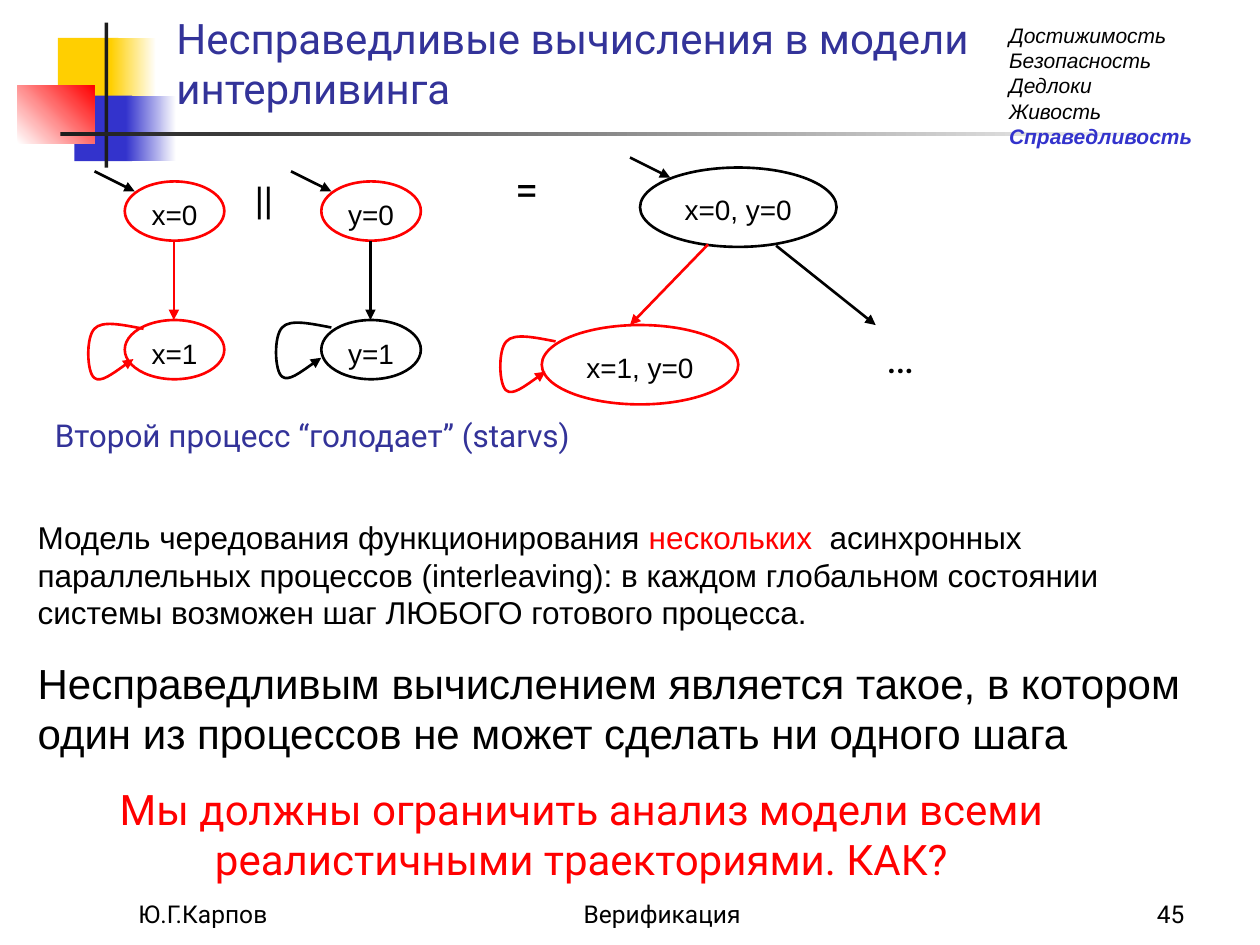
from lxml.etree import SubElement
from pptx import Presentation
from pptx.dml.color import RGBColor
from pptx.enum.shapes import MSO_CONNECTOR, MSO_SHAPE
from pptx.enum.text import MSO_ANCHOR as ANCHOR, MSO_AUTO_SIZE as AUTO, PP_ALIGN as ALIGN
from pptx.oxml.ns import qn
from pptx.util import Inches, Pt

BLACK, RED, BLUE, NAVY = "000000", "FF0000", "3333CC", "333399"
WHITE, YELLOW, DARK = "FFFFFF", "FFCF01", "1C1C1C"

# A self-loop: start point, then three Bezier segments, relative to its corner
LOOP = [(0.46, 0.07),
        (0.30, 0.04), (0.13, 0), (0.07, 0.07),
        (0, 0.14), (0.01, 0.42), (0.07, 0.46),
        (0.12, 0.50), (0.25, 0.40), (0.38, 0.31)]


def rgb(hex_color):
    return RGBColor.from_string(hex_color)


def add_run(p, text, size, color=BLACK, font="Arial", **formats):
    r = p.add_run()
    r.text = text
    r.font.color.rgb = rgb(color)
    for name, value in dict(size=Pt(size), name=font, **formats).items():
        setattr(r.font, name, value)


def add_text(slide, box, paragraphs, align=ALIGN.LEFT, anchor=ANCHOR.TOP, auto=AUTO.SHAPE_TO_FIT_TEXT):
    """Each paragraph is (space before, runs); a run is a dict for add_run, None a line break."""
    tf = slide.shapes.add_textbox(*map(Inches, box)).text_frame
    for name, value in dict(word_wrap=True, auto_size=auto, vertical_anchor=anchor).items():
        setattr(tf, name, value)
    for i, (before, runs) in enumerate(paragraphs):
        p = tf.add_paragraph() if i else tf.paragraphs[0]
        p.alignment, p.space_before = align, Pt(before)
        for run in runs:
            if run is None:
                p.add_line_break()
            else:
                add_run(p, **run)


def add_line_of_text(slide, box, text, size, color=BLACK, font="Roboto", before=0, align=ALIGN.CENTER, **frame):
    run = dict(text=text, size=size, color=color, font=font)
    add_text(slide, box, [(before, [run])], align, **frame)


def add_block(slide, box, color, end=None, angle=0):
    """A rectangle in a plain colour, or fading from color to end."""
    sp = slide.shapes.add_shape(MSO_SHAPE.RECTANGLE, *map(Inches, box))
    sp.shadow.inherit = False
    sp.line.fill.background()
    if end is None:
        sp.fill.solid()
        sp.fill.fore_color.rgb = rgb(color)
        return
    sp.fill.gradient()
    sp.fill.gradient_angle = angle
    for stop, stop_color in zip(sp.fill.gradient_stops, (color, end)):
        stop.color.rgb = rgb(stop_color)


def style_line(sp, color, arrow=True):
    sp.line.color.rgb = rgb(color)
    sp.line.width = Pt(1.5)
    if arrow:
        SubElement(sp.line._get_or_add_ln(), qn("a:tailEnd"), type="triangle")


def add_arrow(slide, start, end, color=BLACK):
    cxn = slide.shapes.add_connector(MSO_CONNECTOR.STRAIGHT, *map(Inches, start + end))
    style_line(cxn, color)
    SubElement(cxn._element.spPr, qn("a:effectLst"))


def add_entry_arrow(slide, x, y):
    add_arrow(slide, (x, y), (x + 0.32, y + 0.16))


def add_state(slide, x, y, label, color, size=(0.79, 0.47), inset=0.08):
    w, h = size
    sp = slide.shapes.add_shape(MSO_SHAPE.OVAL, *map(Inches, (x, y, w, h)))
    sp.shadow.inherit = False
    sp.fill.background()
    style_line(sp, color, arrow=False)
    box = (x + inset, y + inset, w - 2 * inset, 0.37)
    add_line_of_text(slide, box, label, 16, font="Arial", before=10)


def add_loop(slide, x, y, color):
    points = [(Inches(x + dx), Inches(y + dy)) for dx, dy in LOOP]
    builder = slide.shapes.build_freeform(*points[0])
    builder.add_line_segments(points[1:], close=False)
    sp = builder.convert_to_shape()
    sp.shadow.inherit = False
    sp.fill.background()
    style_line(sp, color)
    # Turn every three straight segments into one cubic curve
    path = next(sp._element.iter(qn("a:path")))
    segments = path.findall(qn("a:lnTo"))
    for i in range(0, len(segments), 3):
        curve = SubElement(path, qn("a:cubicBezTo"))
        for segment in segments[i:i + 3]:
            curve.append(segment[0])
            path.remove(segment)


def add_process(slide, x, variable, color):
    """A two-state process with a loop on its final state."""
    add_state(slide, x, 1.44, variable + "=0", RED)
    add_state(slide, x, 2.54, variable + "=1", color)
    add_arrow(slide, (x + 0.39, 1.91), (x + 0.39, 2.54), color)
    add_entry_arrow(slide, x - 0.24, 1.36)


def add_decoration(slide):
    add_block(slide, (0.46, 0.3, 0.48, 0.52), YELLOW)
    add_block(slide, (0.88, 0.3, 0.36, 0.52), YELLOW, WHITE)
    add_block(slide, (0.59, 0.76, 0.46, 0.52), BLUE)
    add_block(slide, (1, 0.76, 0.4, 0.52), BLUE, WHITE)
    add_block(slide, (0.14, 0.68, 0.61, 0.46), WHITE, RED, angle=45)
    add_block(slide, (0.83, 0.18, 0.03, 1.15), DARK)
    add_block(slide, (0.48, 1.05, 9, 0.03), DARK, WHITE)


def set_title(slide, text):
    title = slide.shapes.title
    box = dict(left=1.3, top=0.28, width=7.48, height=0.67)
    for name, value in box.items():
        setattr(title, name, Inches(value))
    tf = title.text_frame
    tf.vertical_anchor, tf.auto_size = ANCHOR.BOTTOM, AUTO.NONE
    p = tf.paragraphs[0]
    p.alignment = ALIGN.LEFT
    add_run(p, text, 24, NAVY, "Roboto")


def add_topics(slide, topics, current):
    runs = []
    for topic in topics:
        runs += [dict(text=topic, size=12, italic=True), None]
    runs.append(dict(text=current, size=12, color=BLUE, italic=True, bold=True))
    add_text(slide, (7.91, 0.13, 1.89, 1.1), [(7.5, runs)])


def add_diagram(slide):
    add_process(slide, 0.99, "х", RED)
    add_loop(slide, 0.68, 2.54, RED)
    add_process(slide, 2.55, "у", BLACK)
    add_loop(slide, 2.17, 2.53, BLACK)
    add_line_of_text(slide, (1.86, 1.36, 0.47, 0.44), "||", 20, font="Arial", before=12.5)
    add_line_of_text(slide, (3.83, 1.25, 0.7, 0.5), "=", 24)

    product = dict(size=(1.56, 0.63), inset=0.15)
    add_state(slide, 5.08, 1.33, "х=0, у=0", BLACK, **product)
    add_entry_arrow(slide, 5, 1.25)
    add_arrow(slide, (5.62, 1.94), (5, 2.58), RED)
    add_loop(slide, 3.95, 2.64, RED)
    add_state(slide, 4.3, 2.58, "х=1, у=0", RED, **product)
    add_arrow(slide, (6.16, 1.95), (6.95, 2.58))
    add_line_of_text(slide, (6.56, 2.58, 1.17, 0.5), "…", 24)


def add_body(slide):
    add_line_of_text(slide, (0.2, 3.25, 4.56, 0.4), "Второй процесс “голодает” (starvs)", 18, NAVY)
    model = [
        dict(text="Модель чередования функционирования ", size=18),
        dict(text="нескольких ", size=18, color=RED),
        dict(text=" асинхронных параллельных процессов (interleaving): в каждом глобальном "
                  "состоянии системы возможен шаг ЛЮБОГО готового процесса.", size=18),
    ]
    unfair = [dict(text="Несправедливым вычислением является такое, в котором один из "
                        "процессов не может сделать ни одного шага", size=24)]
    add_text(slide, (0.2, 4.06, 9.29, 2.41), [(11.2, model), (15, unfair)])
    add_line_of_text(slide, (0, 6.17, 9.23, 0.9),
                     "Мы должны ограничить анализ модели всеми реалистичными траекториями. КАК?", 24, RED)


def add_footer(slide):
    for x, w, text, align in ((1, 2.08, "Ю.Г.Карпов", ALIGN.LEFT),
                              (3.67, 3.17, "Верификация", ALIGN.CENTER),
                              (7.42, 2.08, "45", ALIGN.RIGHT)):
        add_line_of_text(slide, (x, 6.92, w, 0.5), text, 14, align=align, anchor=ANCHOR.BOTTOM, auto=AUTO.NONE)


def main():
    prs = Presentation()
    prs.slide_width, prs.slide_height = Inches(10), Inches(7.5)
    slide = prs.slides.add_slide(prs.slide_layouts[5])
    add_decoration(slide)
    set_title(slide, "Несправедливые вычисления в модели интерливинга")
    add_topics(slide, ("Достижимость", "Безопасность", "Дедлоки", "Живость"), "Справедливость")
    add_diagram(slide)
    add_body(slide)
    add_footer(slide)
    prs.save("out.pptx")


if __name__ == "__main__":
    main()
